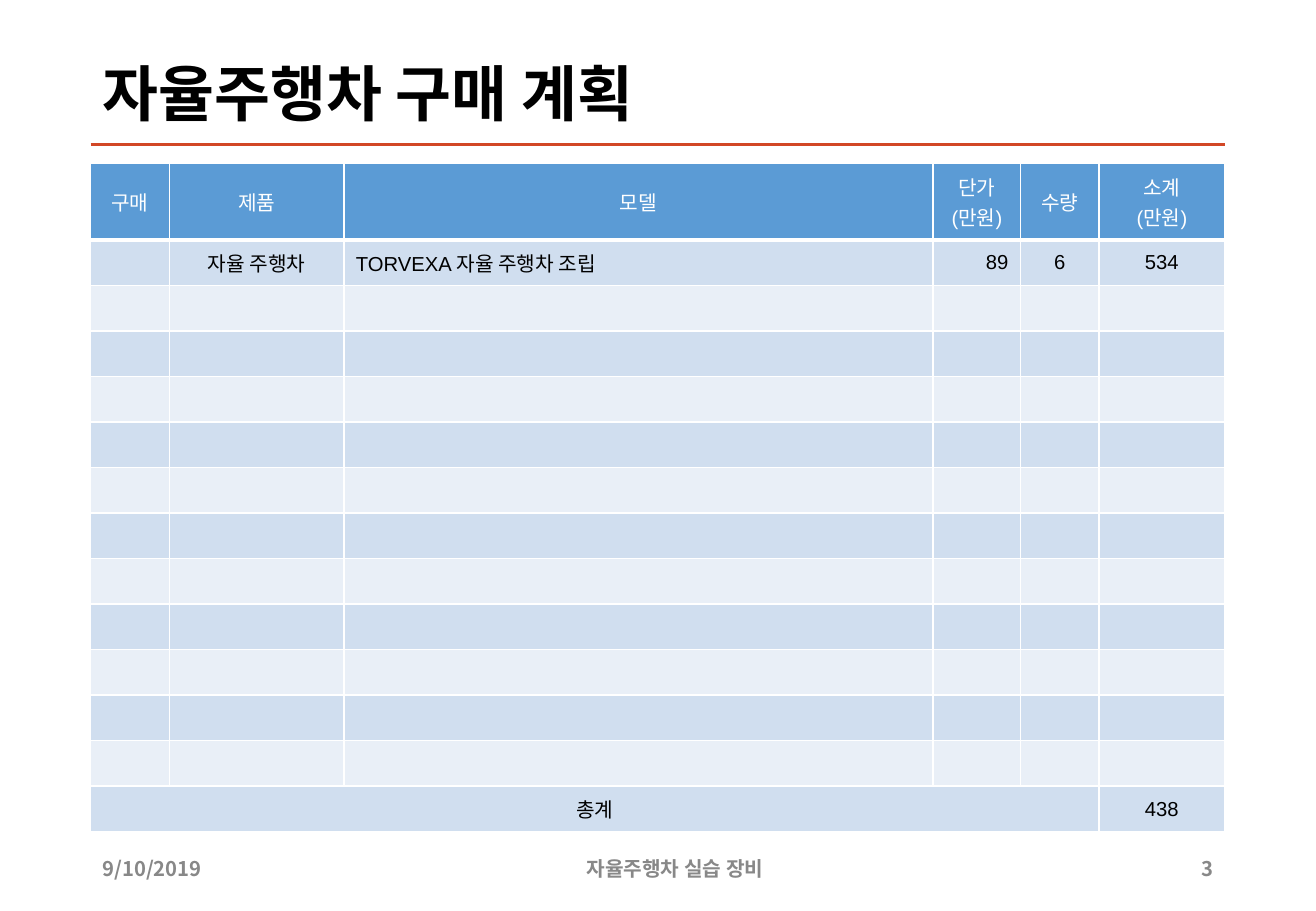
from lxml.etree import SubElement
from pptx import Presentation
from pptx.dml.color import RGBColor
from pptx.enum.shapes import MSO_CONNECTOR as Connector
from pptx.enum.text import MSO_ANCHOR as Anchor, PP_ALIGN as Align
from pptx.oxml.ns import qn
from pptx.util import Pt

EMU_PER_PX = 4572
KOREAN = "Noto Sans CJK KR"
BLACK = RGBColor(0x00, 0x00, 0x00)
WHITE = RGBColor(0xFF, 0xFF, 0xFF)
GRAY = RGBColor(0x88, 0x88, 0x88)
ORANGE = RGBColor(0xD2, 0x47, 0x26)
HEADER_BLUE = RGBColor(0x5B, 0x9B, 0xD5)
BANDS = RGBColor(0xD0, 0xDE, 0xEF), RGBColor(0xE9, 0xEF, 0xF7)

LEFT, RIGHT = 149, 2017
COLUMN_WIDTHS = 130, 287, 970, 144, 129, 207
ALIGNMENTS = (Align.CENTER, Align.CENTER, Align.LEFT,
              Align.RIGHT, Align.CENTER, Align.CENTER)
HEADINGS = "구매", "제품", "모델", "단가\n(만원)", "수량", "소계\n(만원)"
PURCHASES = [("", "자율 주행차", "TORVEXA 자율 주행차 조립", "89", "6", "534")]
EMPTY_ROWS = 11
TOTAL = "총계", "", "", "", "", "438"


def px(length):
    return length * EMU_PER_PX


def write(frame, text, size=12, font="Arial", color=BLACK, bold=False,
          align=Align.LEFT, spacing=None):
    """Fill a text frame with one formatted paragraph per line."""
    for index, line in enumerate(text.split("\n")):
        paragraph = frame.paragraphs[0] if index == 0 else frame.add_paragraph()
        paragraph.alignment = align
        paragraph.line_spacing = spacing
        if not line:
            paragraph._p.get_or_add_endParaRPr().set("sz", str(size * 100))
            continue
        run = paragraph.add_run()
        run.text = line
        run.font.size, run.font.name, run.font.bold = Pt(size), font, bold
        run.font.color.rgb = color
        SubElement(run._r.get_or_add_rPr(), qn("a:ea"), typeface=KOREAN)


class PlanSlide:
    """Style and drawing methods for the current slide."""

    def __init__(self, presentation):
        self.slide = presentation.slides.add_slide(presentation.slide_layouts[6])
        self.border, self.header_border = Pt(1), Pt(3)

    def rule(self, x1, x2, y, color, weight):
        rule = self.slide.shapes.add_connector(
            Connector.STRAIGHT, px(x1), px(y), px(x2), px(y))
        rule.line.color.rgb = color
        rule.line.width = Pt(weight)
        SubElement(rule._element.spPr, qn("a:effectLst"))

    def text(self, text, x, y, width, height, **style):
        box = self.slide.shapes.add_textbox(px(x), px(y), px(width), px(height))
        box.text_frame.word_wrap = True
        box.text_frame.vertical_anchor = Anchor.MIDDLE
        write(box.text_frame, text, **style)

    def cell(self, cell, text, fill, top, bottom, **style):
        properties = cell._tc.get_or_add_tcPr()
        widths = {"L": self.border, "R": self.border, "T": top, "B": bottom}
        for side, width in widths.items():
            edge = SubElement(properties, qn(f"a:ln{side}"), w=str(width))
            paint = SubElement(edge, qn("a:solidFill"))
            SubElement(paint, qn("a:srgbClr"), val=str(WHITE))
        cell.fill.solid()
        cell.fill.fore_color.rgb = fill
        cell.vertical_anchor = Anchor.MIDDLE
        write(cell.text_frame, text, **style)

    def table(self, rows, x, y, widths, header_height, row_height):
        height = header_height + row_height * (len(rows) - 1)
        table = self.slide.shapes.add_table(
            len(rows), len(widths), px(x), px(y), px(sum(widths)), px(height)).table
        table.first_row = table.horz_banding = False
        for column, width in zip(table.columns, widths):
            column.width = px(width)
        for r, texts in enumerate(rows):
            header, last = r == 0, r == len(rows) - 1
            table.rows[r].height = px(header_height if header else row_height)
            for c, text in enumerate(texts):
                centered = header or last
                self.cell(
                    table.cell(r, c), text,
                    fill=HEADER_BLUE if header else BANDS[(r - 1) % 2],
                    top=self.header_border if r == 1 else self.border,
                    bottom=self.header_border if header else self.border,
                    color=WHITE if header else BLACK,
                    align=Align.CENTER if centered else ALIGNMENTS[c])
        return table


def main():
    presentation = Presentation()
    presentation.slide_width, presentation.slide_height = px(2166), px(1500)
    plan = PlanSlide(presentation)
    plan.rule(LEFT, RIGHT, 238, ORANGE, 2)
    plan.text("자율주행차 구매 계획", LEFT, 80, RIGHT - LEFT, 158, size=36,
              font="Times New Roman", bold=True, spacing=0.9)
    footers = [("9/10/2019", LEFT, 254, Align.LEFT),
               ("자율주행차 실습 장비", 890, 442, Align.CENTER),
               ("3", 1911, 106, Align.RIGHT)]
    for text, x, width, align in footers:
        plan.text(text, x, 1390, width, 80, font=KOREAN, color=GRAY,
                  bold=True, align=align)
    blank = ("",) * len(COLUMN_WIDTHS)
    rows = [HEADINGS, *PURCHASES, *[blank] * EMPTY_ROWS, TOTAL]
    table = plan.table(rows, LEFT, 269, COLUMN_WIDTHS, 126, 75)
    total_row = len(rows) - 1
    table.cell(total_row, 0).merge(table.cell(total_row, 4))
    presentation.save("out.pptx")


if __name__ == "__main__":
    main()
